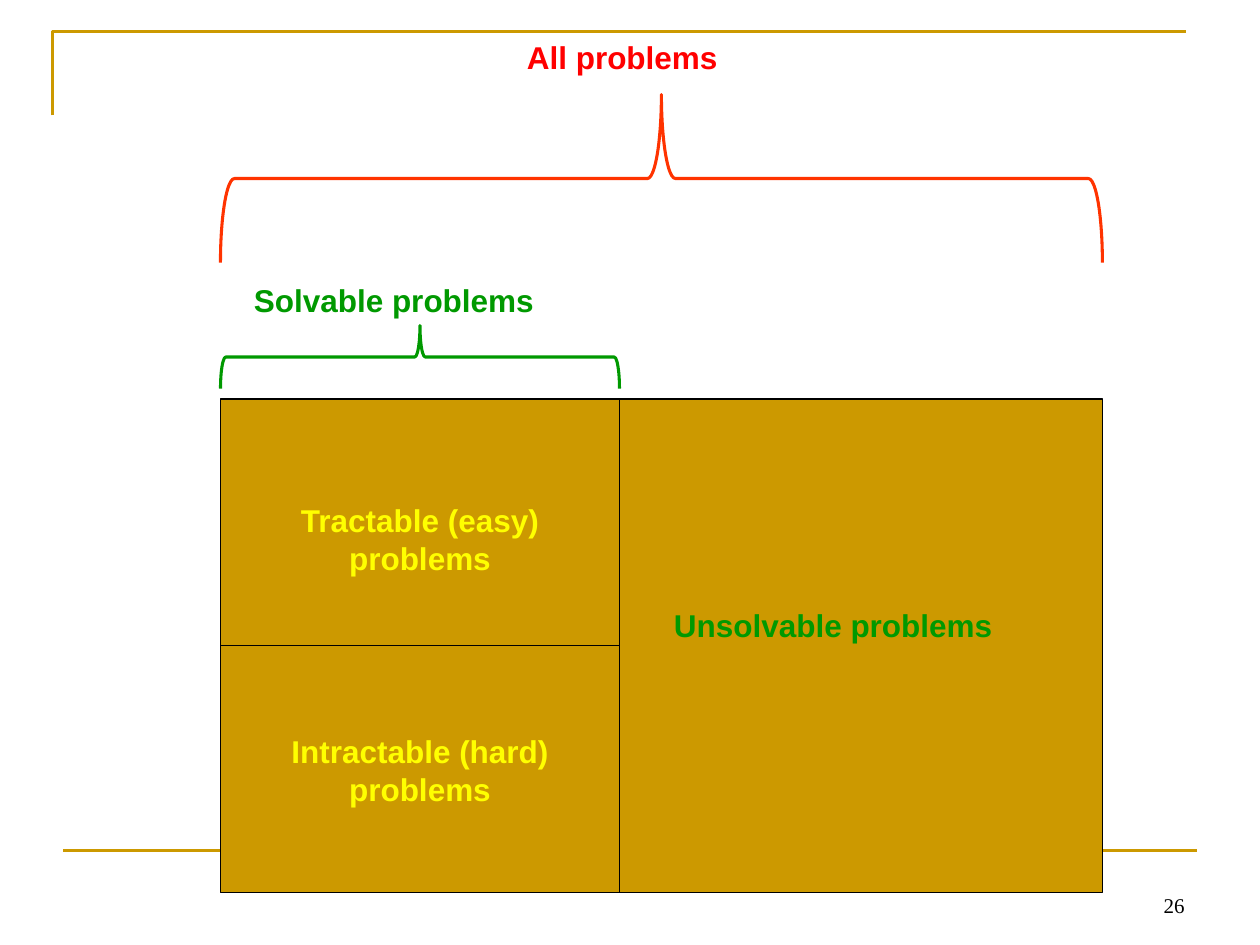
from dataclasses import dataclass

import pptx
import pptx.dml.color
import pptx.enum.shapes
import pptx.enum.text
import pptx.oxml
import pptx.util
import lxml.etree

Pt = pptx.util.Pt
RGBColor = pptx.dml.color.RGBColor
Align = pptx.enum.text.PP_ALIGN
Anchor = pptx.enum.text.MSO_ANCHOR
Preset = pptx.enum.shapes.MSO_SHAPE

GOLD = RGBColor(0xCC, 0x99, 0x00)
BLACK = RGBColor(0, 0, 0)
RED = RGBColor(0xFF, 0, 0)
ORANGE = RGBColor(0xFF, 0x33, 0)
GREEN = RGBColor(0, 0x99, 0)
YELLOW = RGBColor(0xFF, 0xFF, 0)

LEFT, TOP, WIDTH, HEIGHT = 126, 228, 504, 282
SOLVABLE_WIDTH = 228
DIVIDER = LEFT + SOLVABLE_WIDTH
MIDDLE = TOP + HEIGHT / 2


@dataclass
class Line:
    start: tuple[float, float]
    end: tuple[float, float]
    color: RGBColor
    weight: float


@dataclass
class Brace:
    top: float
    span: float
    depth: float
    color: RGBColor


@dataclass
class Label:
    text: str
    left: float
    top: float
    width: float
    height: float
    color: RGBColor
    align: Align = Align.LEFT


def add_line(page, line: Line) -> None:
    connector = page.shapes.add_connector(
        pptx.enum.shapes.MSO_CONNECTOR.STRAIGHT,
        *(Pt(value) for value in line.start + line.end))
    connector.line.color.rgb = line.color
    connector.line.width = Pt(line.weight)
    properties = connector._element.spPr
    lxml.etree.SubElement(properties, pptx.oxml.ns.qn("a:effectLst"))


def add_brace(page, brace: Brace) -> None:
    left = LEFT + (brace.span - brace.depth) / 2
    top = brace.top + (brace.depth - brace.span) / 2
    shape = page.shapes.add_shape(
        Preset.RIGHT_BRACE, Pt(left), Pt(top), Pt(brace.depth), Pt(brace.span))
    shape.rotation = 270
    shape.shadow.inherit = False
    shape.fill.background()
    shape.line.color.rgb = brace.color
    shape.line.width = Pt(1.75)


def add_text(page, text: str, *, left: float, top: float, width: float,
             height: float, color: RGBColor, align: Align = Align.LEFT,
             font: str = "Arial", size: float = 18, bold: bool = True,
             anchor: Anchor = Anchor.TOP) -> None:
    box = page.shapes.add_textbox(Pt(left), Pt(top), Pt(width), Pt(height))
    frame = box.text_frame
    frame.word_wrap = True
    frame.vertical_anchor = anchor
    para = frame.paragraphs[0]
    para.alignment = align
    span = para.add_run()
    span.text = text
    span.font.name = font
    span.font.size = Pt(size)
    span.font.bold = bold
    span.font.color.rgb = color


def add_corner(page) -> None:
    builder = page.shapes.build_freeform(Pt(30), Pt(66))
    builder.add_line_segments(
        [(Pt(30), Pt(18)), (Pt(678), Pt(18))], close=False)
    corner = builder.convert_to_shape()
    corner.shadow.inherit = False
    corner.fill.background()
    corner.line.color.rgb = GOLD
    corner.line.width = Pt(1.5)


def add_problem_area(page) -> None:
    area = page.shapes.add_shape(
        Preset.RECTANGLE, Pt(LEFT), Pt(TOP), Pt(WIDTH), Pt(HEIGHT))
    area.shadow.inherit = False
    area.fill.solid()
    area.fill.fore_color.rgb = GOLD
    area.line.color.rgb = BLACK
    area.line.width = Pt(0.75)


FOOTER_RULE = Line((36, 486), (684, 486), GOLD, 1.5)
DIVIDERS = [
    Line((DIVIDER, TOP), (DIVIDER, TOP + HEIGHT), BLACK, 0.75),
    Line((LEFT, MIDDLE), (DIVIDER, MIDDLE), BLACK, 0.75),
]
BRACES = [
    Brace(54, WIDTH, 96, ORANGE),
    Brace(186, SOLVABLE_WIDTH, 36, GREEN),
]
LABELS = [
    Label("All problems", 294, 18, 186, 29, RED),
    Label("Solvable problems", 138, 157, 228, 29, GREEN),
    Label("Unsolvable problems", 378, 342.5, 228, 29, GREEN),
    Label("Tractable (easy) problems", LEFT, 283, SOLVABLE_WIDTH, 51,
          YELLOW, Align.CENTER),
    Label("Intractable (hard) problems", LEFT, 415, SOLVABLE_WIDTH, 51,
          YELLOW, Align.CENTER),
]

deck = pptx.Presentation()
deck.slide_width, deck.slide_height = Pt(720), Pt(540)
page = deck.slides.add_slide(deck.slide_layouts.get_by_name("Blank"))

add_corner(page)
add_line(page, FOOTER_RULE)
add_text(page, "26", left=516, top=492, width=168, height=36, color=BLACK,
         align=Align.RIGHT, font="Times New Roman", size=12, bold=False,
         anchor=Anchor.BOTTOM)
add_problem_area(page)
for divider in DIVIDERS:
    add_line(page, divider)
for brace in BRACES:
    add_brace(page, brace)
for label in LABELS:
    add_text(page, label.text, left=label.left, top=label.top,
             width=label.width, height=label.height, color=label.color,
             align=label.align)

deck.save("out.pptx")
